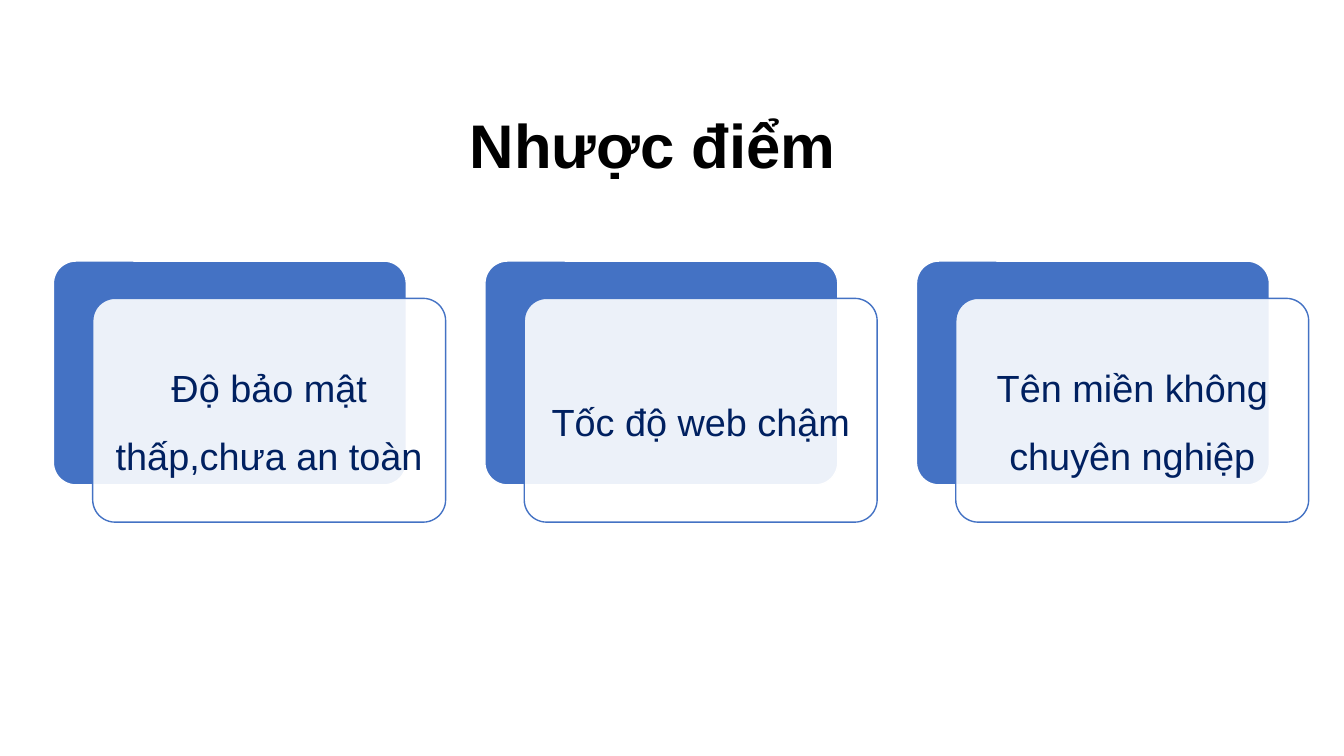
from lxml import etree
from pptx import Presentation
from pptx.dml.color import RGBColor
from pptx.enum.shapes import MSO_SHAPE
from pptx.enum.text import MSO_ANCHOR, PP_ALIGN
from pptx.oxml.ns import qn
from pptx.util import Inches, Pt

ROUNDED = MSO_SHAPE.ROUNDED_RECTANGLE
CENTER = PP_ALIGN.CENTER
MIDDLE, BOTTOM = MSO_ANCHOR.MIDDLE, MSO_ANCHOR.BOTTOM

BLUE, NAVY, WHITE, BLACK = "4472C4", "002060", "FFFFFF", "000000"
CARD_W, CARD_H = 3.5, 2.22
CARD_LEFT, CARD_TOP, CARD_PITCH = 0.53, 2.59, 4.28
FRONT_DX, FRONT_DY = 0.39, 0.37
TEXT_INSET = 0.06
DRAWBACKS = [
    "Độ bảo mật thấp,chưa an toàn",
    "Tốc độ web chậm",
    "Tên miền không chuyên nghiệp",
]


def rgb(value):
    return RGBColor.from_string(value)


def set_all(obj, values):
    for name, value in values.items():
        setattr(obj, name, value)


class SlideBuilder:
    def __init__(self, slide, font="Arial"):
        self.s = slide
        self.font = font

    def panel(self, x, y, w, h, fill, line, opacity=100):
        """Draw a rounded rectangle; opacity is a percentage."""
        sp = self.s.shapes.add_shape(ROUNDED, Inches(x), Inches(y), Inches(w), Inches(h))
        sp.adjustments[0] = 0.1
        sp.shadow.inherit = False
        sp.fill.solid()
        sp.fill.fore_color.rgb = rgb(fill)
        if opacity < 100:
            color = sp.fill._xPr.find(qn("a:solidFill"))[0]
            etree.SubElement(color, qn("a:alpha")).set("val", str(opacity * 1000))
        sp.line.color.rgb = rgb(line)
        sp.line.width = Pt(1)

    def text(self, x, y, w, h, text, size, color, bold=False, spacing=1.0,
             anchor=MIDDLE, inset=None):
        box = self.s.shapes.add_textbox(Inches(x), Inches(y), Inches(w), Inches(h))
        tf = box.text_frame
        set_all(tf, {"word_wrap": True, "vertical_anchor": anchor})
        if inset is not None:
            sides = ("left", "top", "right", "bottom")
            set_all(tf, {f"margin_{side}": Inches(inset) for side in sides})
        p = tf.paragraphs[0]
        set_all(p, {"alignment": CENTER, "line_spacing": spacing})
        r = p.add_run()
        r.text = text
        set_all(r.font, {"name": self.font, "size": Pt(size), "bold": bold})
        r.font.color.rgb = rgb(color)

    def card(self, x, y, text):
        """Draw a blue panel, a translucent panel offset over it, and its label."""
        self.panel(x, y, CARD_W, CARD_H, BLUE, WHITE)
        x, y = x + FRONT_DX, y + FRONT_DY
        self.panel(x, y, CARD_W, CARD_H, WHITE, BLUE, opacity=90)
        self.text(x + TEXT_INSET, y + TEXT_INSET, CARD_W - 2 * TEXT_INSET,
                  CARD_H - 2 * TEXT_INSET, text, 27, NAVY, spacing=1.5, inset=0.11)


def main():
    prs = Presentation()
    set_all(prs, {"slide_width": Inches(13.33), "slide_height": Inches(7.5)})
    builder = SlideBuilder(prs.slides.add_slide(prs.slide_layouts[6]))
    builder.text(0.53, 0.4, 11.89, 1.45, "Nhược điểm", 44, BLACK,
                 bold=True, spacing=0.9, anchor=BOTTOM)
    for i, drawback in enumerate(DRAWBACKS):
        builder.card(CARD_LEFT + i * CARD_PITCH, CARD_TOP, drawback)
    prs.save("out.pptx")


if __name__ == "__main__":
    main()
